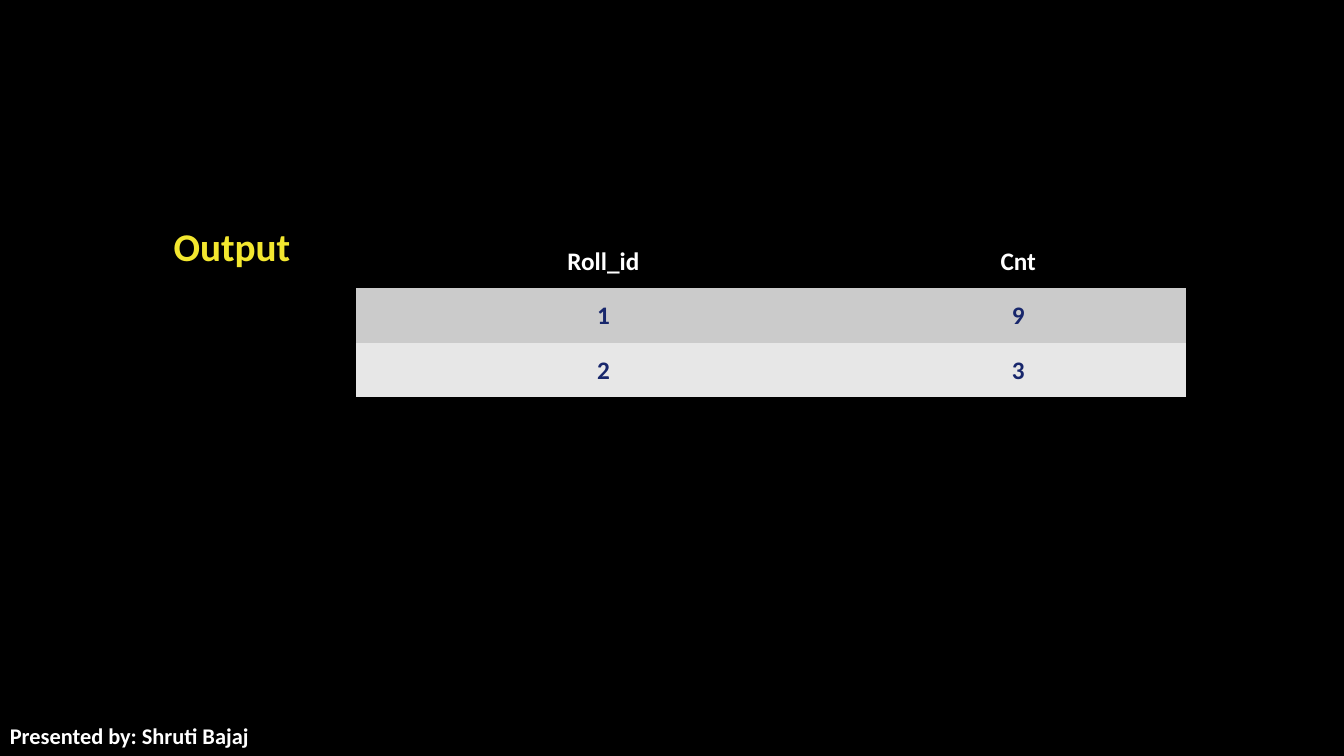
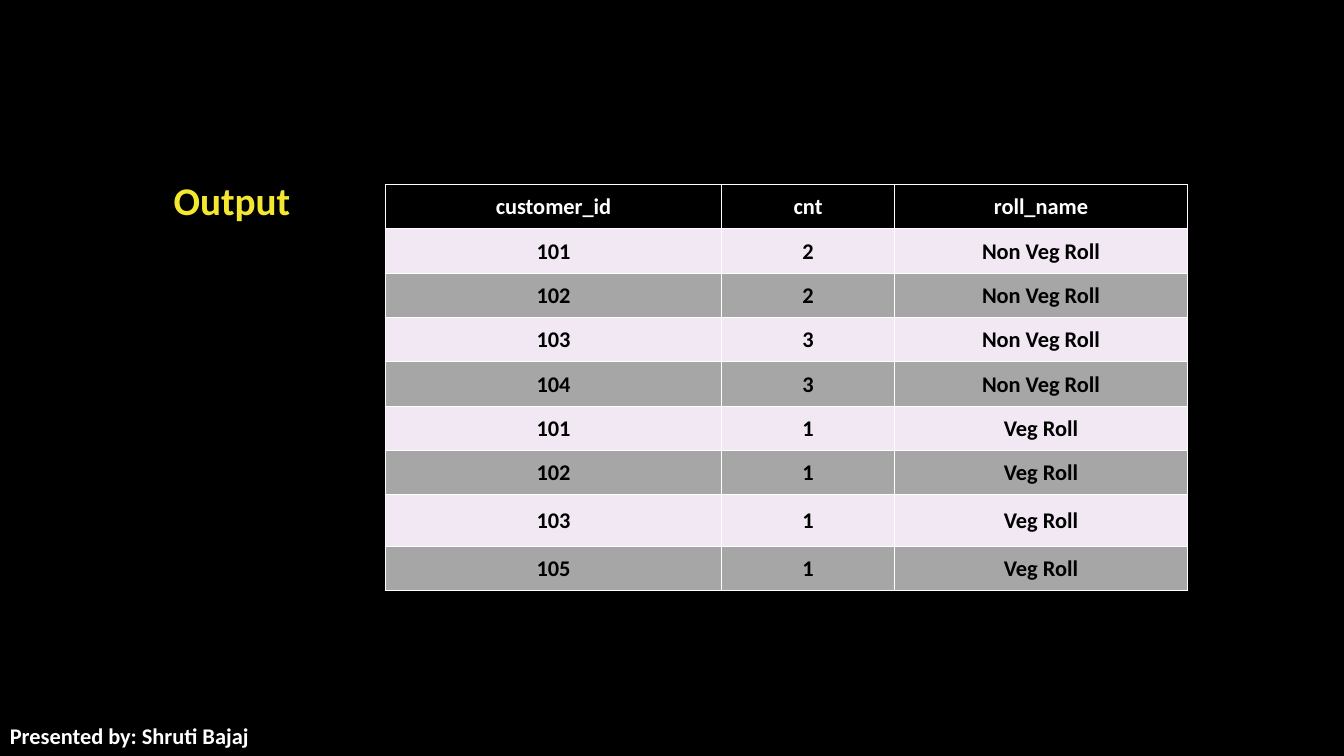
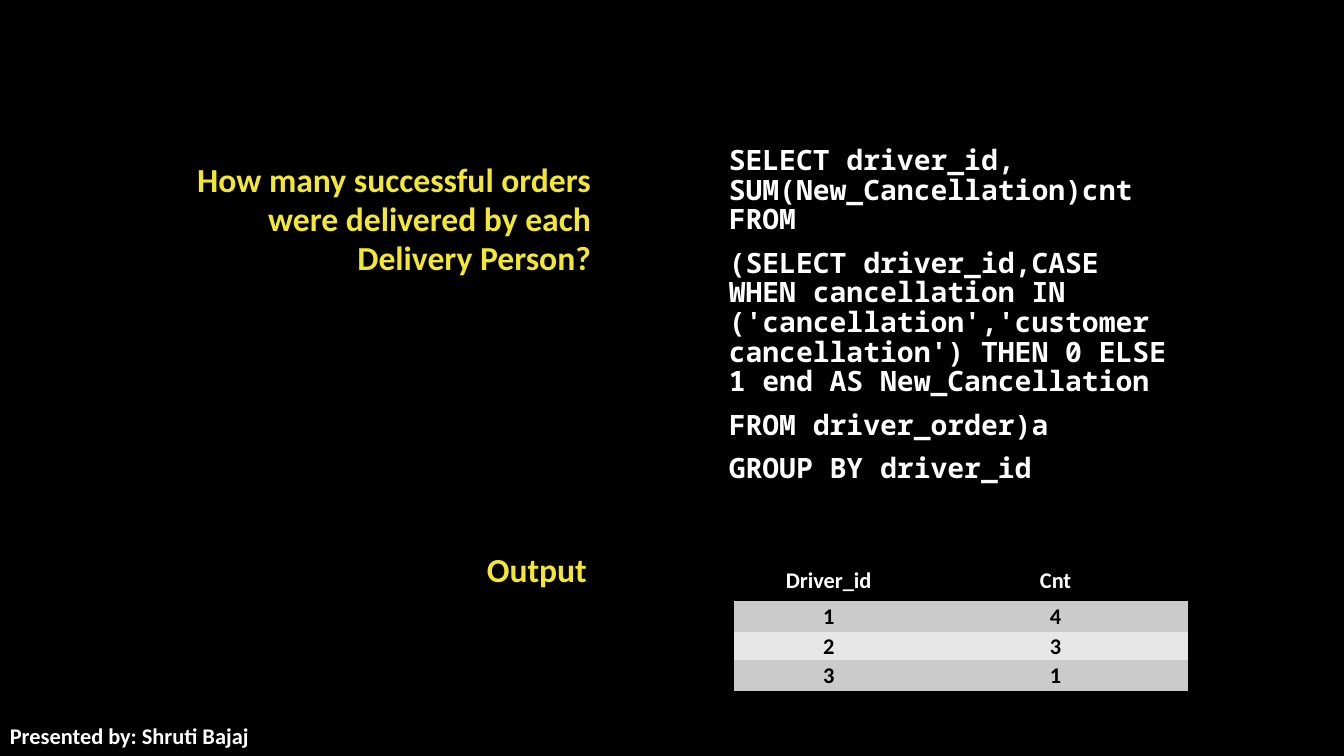
from lxml.etree import SubElement
from pptx import Presentation
from pptx.dml.color import RGBColor
from pptx.enum.text import MSO_ANCHOR, PP_ALIGN
from pptx.oxml.ns import qn
from pptx.util import Inches, Pt

BLACK = RGBColor(0x00, 0x00, 0x00)
WHITE = RGBColor(0xFF, 0xFF, 0xFF)
YELLOW = RGBColor(0xF3, 0xE7, 0x2F)
NAVY = RGBColor(0x18, 0x27, 0x6C)
SILVER = RGBColor(0xCB, 0xCB, 0xCB)
PALE_GREY = RGBColor(0xE7, 0xE7, 0xE7)
MID_GREY = RGBColor(0xA6, 0xA6, 0xA6)
LILAC = RGBColor(0xF1, 0xE8, 0xF4)

PLAIN_TABLE_STYLE = "{2D5ABB26-0587-4C30-8999-92F81FD0307C}"


def write(text_frame, *lines, size, color, font="Calibri", align=PP_ALIGN.LEFT,
          anchor=MSO_ANCHOR.TOP, line_spacing=None, space_after=0):
    """Fill a text frame with one bold paragraph per line."""
    text_frame.word_wrap = True
    text_frame.vertical_anchor = anchor
    for index, line in enumerate(lines):
        paragraph = text_frame.add_paragraph() if index else text_frame.paragraphs[0]
        paragraph.alignment = align
        paragraph.line_spacing = line_spacing
        paragraph.space_after = Pt(space_after)
        run = paragraph.add_run()
        run.text = line
        run.font.name = font
        run.font.size = Pt(size)
        run.font.bold = True
        run.font.color.rgb = color


def add_result_table(slide, left, top, widths, heights, rows, size, color, bands,
                     border=None):
    """Add a table with a black header row and alternating row fills."""
    frame = slide.shapes.add_table(len(rows), len(widths), Inches(left), Inches(top),
                                   Inches(sum(widths)), Inches(sum(heights)))
    table = frame.table
    table._tbl.tblPr.find(qn("a:tableStyleId")).text = PLAIN_TABLE_STYLE
    for column, width in zip(table.columns, widths):
        column.width = Inches(width)
    for row_index, (row, height, values) in enumerate(zip(table.rows, heights, rows)):
        row.height = Inches(height)
        for cell, value in zip(row.cells, values):
            cell.margin_left = cell.margin_right = cell.margin_top = Inches(0.01)
            cell.margin_bottom = 0
            write(cell.text_frame, value, size=size, align=PP_ALIGN.CENTER,
                  color=color if row_index else WHITE)
            cell.vertical_anchor = MSO_ANCHOR.MIDDLE
            if border is not None:
                for side in ("lnL", "lnR", "lnT", "lnB"):
                    line = SubElement(cell._tc.get_or_add_tcPr(), qn(f"a:{side}"),
                                      w=str(Pt(1)))
                    line_fill = SubElement(line, qn("a:solidFill"))
                    SubElement(line_fill, qn("a:srgbClr"), val=str(border))
            cell.fill.solid()
            cell.fill.fore_color.rgb = bands[(row_index - 1) % 2] if row_index else BLACK


presentation = Presentation()
presentation.slide_width = Inches(13.33)
presentation.slide_height = Inches(7.5)
background = presentation.slide_master.background.fill
background.solid()
background.fore_color.rgb = BLACK

blank_layout = presentation.slide_layouts[6]
roll_slide, customer_slide, driver_slide = [
    presentation.slides.add_slide(blank_layout) for _ in range(3)]

# Orders per roll
output_label = roll_slide.shapes.add_textbox(
    Inches(1.57), Inches(2.16), Inches(1.46), Inches(0.57))
write(output_label.text_frame, "Output", size=28, color=YELLOW, align=PP_ALIGN.CENTER)
add_result_table(
    roll_slide, 3.53, 2.32, [4.91, 3.32], [0.54] * 3,
    [("Roll_id", "Cnt"), ("1", "9"), ("2", "3")],
    size=18, color=NAVY, bands=(SILVER, PALE_GREY))

# Rolls per customer
output_label = customer_slide.shapes.add_textbox(
    Inches(1.57), Inches(1.7), Inches(1.46), Inches(0.57))
write(output_label.text_frame, "Output", size=28, color=YELLOW, align=PP_ALIGN.CENTER)
add_result_table(
    customer_slide, 3.82, 1.83, [3.34, 1.71, 2.91], [0.44] * 7 + [0.51, 0.44],
    [("customer_id", "cnt", "roll_name"),
     ("101", "2", "Non Veg Roll"),
     ("102", "2", "Non Veg Roll"),
     ("103", "3", "Non Veg Roll"),
     ("104", "3", "Non Veg Roll"),
     ("101", "1", "Veg Roll"),
     ("102", "1", "Veg Roll"),
     ("103", "1", "Veg Roll"),
     ("105", "1", "Veg Roll")],
    size=16, color=BLACK, bands=(LILAC, MID_GREY), border=WHITE)

# Deliveries per driver
question = driver_slide.shapes.add_textbox(
    Inches(1.56), Inches(1.55), Inches(4.4), Inches(1.3))
write(question.text_frame,
      "How many successful orders were delivered by each Delivery Person?",
      size=24, color=YELLOW, align=PP_ALIGN.RIGHT, line_spacing=0.97)
query = driver_slide.shapes.add_textbox(
    Inches(7.13), Inches(1.41), Inches(4.64), Inches(3.9))
write(query.text_frame,
      "SELECT driver_id, SUM(New_Cancellation)cnt FROM",
      "(SELECT driver_id,CASE WHEN cancellation IN ('cancellation','customer "
      "cancellation') THEN 0 ELSE 1 end AS New_Cancellation",
      "FROM driver_order)a",
      "GROUP BY driver_id",
      size=20, color=WHITE, font="Noto Sans Mono", line_spacing=0.88, space_after=10)
output_label = driver_slide.shapes.add_textbox(
    Inches(1.56), Inches(5.4), Inches(4.36), Inches(0.5))
write(output_label.text_frame, "Output", size=24, color=YELLOW, align=PP_ALIGN.RIGHT)
add_result_table(
    driver_slide, 7.28, 5.55, [1.88, 2.62], [0.41, 0.31, 0.28, 0.31],
    [("Driver_id", "Cnt"), ("1", "4"), ("2", "3"), ("3", "1")],
    size=16, color=BLACK, bands=(SILVER, PALE_GREY))

for slide in presentation.slides:
    footer = slide.shapes.add_textbox(Inches(0), Inches(7.09), Inches(8.56), Inches(0.41))
    write(footer.text_frame, "Presented by: Shruti Bajaj", size=16, color=WHITE,
          anchor=MSO_ANCHOR.MIDDLE)

presentation.save("out.pptx")
